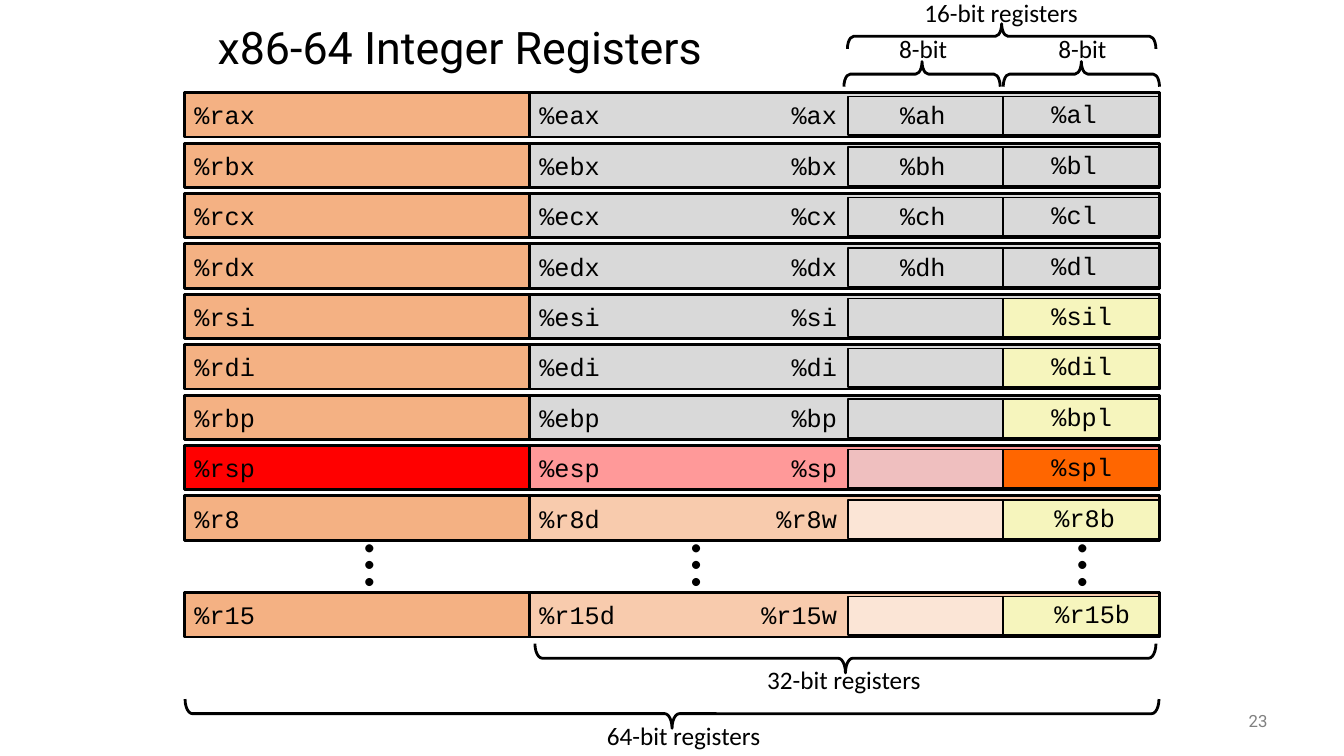
import pptx
import pptx.dml.color
import pptx.enum.shapes
import pptx.enum.text
import pptx.util
from lxml import etree
from pptx.util import Inches

COLORS = {
    "black": "000000", "orange": "F4B183", "gray": "D9D9D9", "red": "FF0000",
    "pink": "FF9999", "rose": "EFBFBF", "peach": "F8CBAD", "cream": "FBE5D6",
    "yellow": "F6F5BD", "vivid": "FF6600", "page": "808080",
}
ALIGN = pptx.enum.text.PP_ALIGN
ANCHOR = pptx.enum.text.MSO_ANCHOR
SHAPE = pptx.enum.shapes.MSO_SHAPE

CODE = {"name": "Courier New", "size": pptx.util.Pt(18)}
LABEL = {"name": "Calibri", "size": pptx.util.Pt(18)}
DOTS = {"name": "Calibri", "size": pptx.util.Pt(48)}
TITLE = {"name": "Roboto", "size": pptx.util.Pt(32)}
PAGE = {"name": "Roboto", "size": pptx.util.Pt(12)}

# Fills of the 64-bit, 32-bit, 16-bit and low 8-bit parts
GENERAL = ("orange", "gray", "gray", "yellow")
STACK = ("red", "pink", "rose", "vivid")
EXTENDED = ("orange", "peach", "cream", "yellow")

# 64-bit, 32-bit, 16-bit, high 8-bit and low 8-bit names, then fills
REGISTERS = [
    ("%rax", "%eax", "%ax", "%ah", "%al", GENERAL),
    ("%rbx", "%ebx", "%bx", "%bh", "%bl", GENERAL),
    ("%rcx", "%ecx", "%cx", "%ch", "%cl", GENERAL),
    ("%rdx", "%edx", "%dx", "%dh", "%dl", GENERAL),
    ("%rsi", "%esi", "%si", None, "%sil", GENERAL),
    ("%rdi", "%edi", "%di", None, "%dil", GENERAL),
    ("%rbp", "%ebp", "%bp", None, "%bpl", GENERAL),
    ("%rsp", "%esp", "%sp", None, "%spl", STACK),
    ("%r8", "%r8d", "%r8w", None, "%r8b", EXTENDED),
    ("%r15", "%r15d", "%r15w", None, "%r15b", EXTENDED),
]
FIRST_TOP, ROW_STEP, LAST_TOP = 0.92, 0.5, 5.88
ROW_LEFT, HALF_LEFT, WORD_LEFT, BYTE_LEFT, ROW_RIGHT = 1.83, 5.25, 8.41, 9.95, 11.5

# Left, top, width, height and rotation before turning
BRACES = [
    (8.24, 3.45, 0.29, 6.16, 90),
    (6.52, 2.25, 0.29, 9.66, 90),
    (9.81, -1.17, 0.25, 3.06, 270),
    (9.02, -0.04, 0.25, 1.55, 270),
    (10.6, -0.04, 0.25, 1.55, 270),
]
# Text, left, top, width
BRACE_LABELS = [
    ("32-bit registers", 7.48, 6.54, 1.78),
    ("64-bit registers", 5.89, 7.1, 1.78),
    ("16-bit registers", 9.04, -0.08, 1.78),
    ("8-bit", 8.81, 0.28, 0.69),
    ("8-bit", 10.39, 0.28, 0.69),
]
DOTS_LEFTS = (3.55, 6.79, 10.62)


def rgb(color):
    return pptx.dml.color.RGBColor.from_string(COLORS[color])


def write(shape, text, font, color="black", align=ALIGN.LEFT,
          anchor=ANCHOR.MIDDLE, wrap=True):
    frame = shape.text_frame
    frame.word_wrap = wrap
    frame.vertical_anchor = anchor
    paragraph = frame.paragraphs[0]
    paragraph.alignment = align
    run = paragraph.add_run()
    run.text = text
    for attribute, value in font.items():
        setattr(run.font, attribute, value)
    run.font.color.rgb = rgb(color)


def add_text(slide, text, left, top, width, height, font, **options):
    box = slide.shapes.add_textbox(Inches(left), Inches(top), Inches(width), Inches(height))
    write(box, text, font, **options)
    return box


def add_code(slide, text, left, top, width, align=ALIGN.LEFT):
    add_text(slide, text, left, top, width, 0.4, CODE, align=align,
             anchor=ANCHOR.TOP, wrap=False)


def add_outlined(slide, kind, left, top, width, height, line_width):
    shape = slide.shapes.add_shape(
        kind, Inches(left), Inches(top), Inches(width), Inches(height))
    shape.shadow.inherit = False
    shape.line.color.rgb = rgb("black")
    shape.line.width = pptx.util.Pt(line_width)
    return shape


def add_cell(slide, left, top, right, height, fill, line_width, text=None):
    cell = add_outlined(slide, SHAPE.RECTANGLE, left, top, right - left, height, line_width)
    cell.fill.solid()
    cell.fill.fore_color.rgb = rgb(fill)
    if text:
        write(cell, text, CODE)
    return cell


def add_divider(slide, cell):
    """Split a cell into two halves with a vertical line."""
    line = slide.shapes.add_connector(
        pptx.enum.shapes.MSO_CONNECTOR.STRAIGHT, 0, 0, 0, 0)
    line.begin_connect(cell, 0)
    line.end_connect(cell, 2)
    line.line.color.rgb = rgb("black")
    line.line.width = pptx.util.Pt(1)
    etree.SubElement(line._element.spPr, pptx.oxml.ns.qn("a:effectLst"))


def add_register(slide, top, names, fills):
    quad, double, word, high, low = names
    quad_fill, double_fill, word_fill, byte_fill = fills
    add_cell(slide, ROW_LEFT, top, ROW_RIGHT, 0.44, quad_fill, 2, quad)
    add_cell(slide, HALF_LEFT, top, ROW_RIGHT, 0.44, double_fill, 2, double)
    word_right = 2 * BYTE_LEFT - WORD_LEFT
    word_cell = add_cell(slide, WORD_LEFT, top + 0.04, word_right, 0.38, word_fill, 1)
    add_code(slide, word, 7.4, top + 0.02, 1, ALIGN.RIGHT)
    if high:
        add_divider(slide, word_cell)
        add_code(slide, high, 8.83, top + 0.02, 0.66)
    else:
        add_cell(slide, BYTE_LEFT, top + 0.04, word_right, 0.38, byte_fill, 1)
    low_left = 10.36 if fills is EXTENDED else 10.33
    add_code(slide, low, low_left, top + 0.01, 0.2 + 0.15 * len(low))


def add_brace(slide, left, top, width, height, rotation):
    brace = add_outlined(slide, SHAPE.RIGHT_BRACE, left, top, width, height, 2)
    brace.fill.background()
    brace.adjustments[0] = 0.25
    brace.adjustments[1] = 0.5
    brace.rotation = rotation


def main():
    presentation = pptx.Presentation()
    presentation.slide_width = Inches(13.33)
    presentation.slide_height = Inches(7.5)
    slide = presentation.slides.add_slide(presentation.slide_layouts[6])

    add_text(slide, "x86-64 Integer Registers", 2.06, 0.17, 8.3, 0.58, TITLE)
    for row, (*names, fills) in enumerate(REGISTERS):
        is_last = row == len(REGISTERS) - 1
        top = LAST_TOP if is_last else FIRST_TOP + row * ROW_STEP
        add_register(slide, top, names, fills)
    for left in DOTS_LEFTS:
        dots = add_text(slide, "…", left, 5.17, 0.68, 0.91, DOTS,
                        anchor=ANCHOR.TOP, wrap=False)
        dots.rotation = 90
    for brace in BRACES:
        add_brace(slide, *brace)
    for text, left, top, width in BRACE_LABELS:
        add_text(slide, text, left, top, width, 0.4, LABEL, align=ALIGN.CENTER,
                 anchor=ANCHOR.TOP, wrap=False)
    add_text(slide, "23", 11.67, 6.95, 1, 0.4, PAGE, color="page", align=ALIGN.RIGHT)
    presentation.save("out.pptx")


if __name__ == "__main__":
    main()
